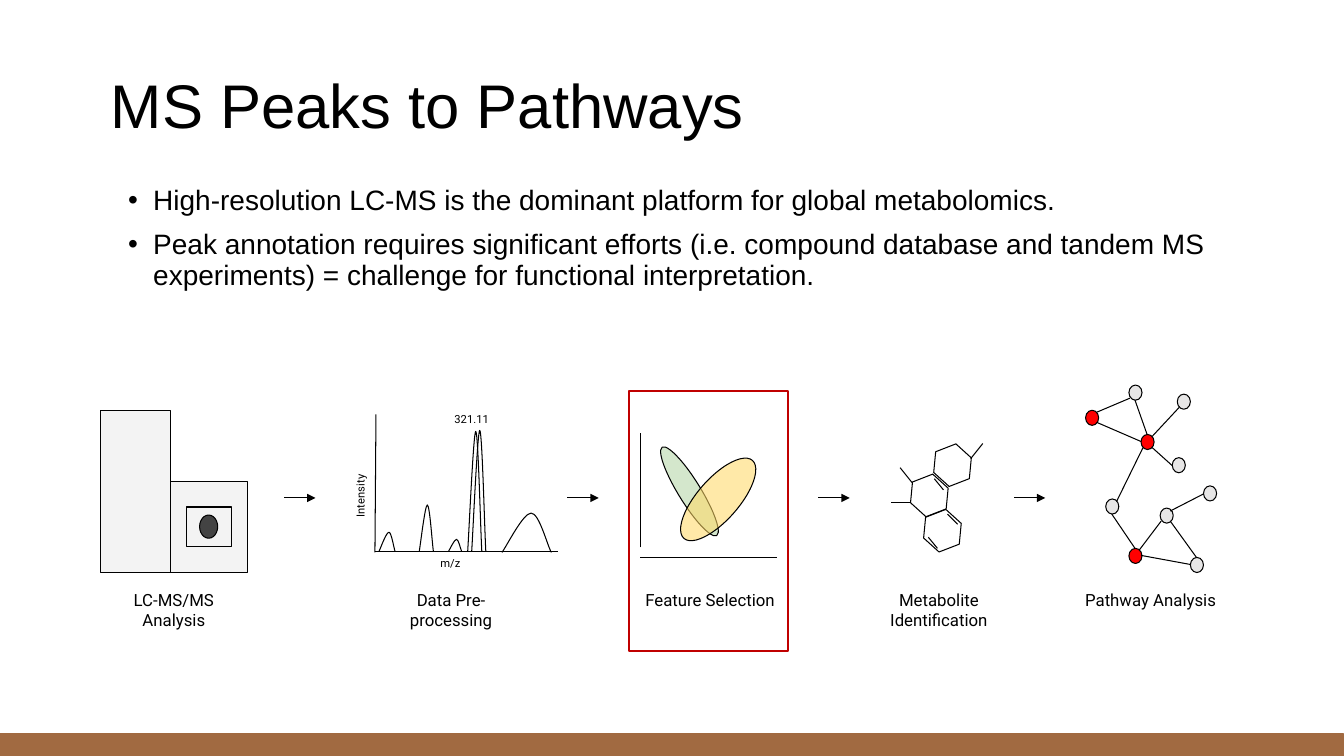
import lxml.etree
import pptx
import pptx.dml.color
import pptx.enum.shapes
import pptx.enum.text
import pptx.oxml.ns
import pptx.util

PX = 9144  # EMU in one px, 100 px to the inch
COLORS = {
    "black": "000000", "brown": "A16A41", "pale": "F3F3F3", "dark": "434343",
    "green": "B6D7A8", "gold": "FFD966", "red": "FF0000", "gray": "E7E6E6",
    "frame": "C00000",
}
RGB = {name: pptx.dml.color.RGBColor.from_string(code) for name, code in COLORS.items()}
KINDS = pptx.enum.shapes.MSO_SHAPE
ALIGN = pptx.enum.text.PP_ALIGN
qn = pptx.oxml.ns.qn

deck = pptx.Presentation()
deck.slide_width = pptx.util.Emu(12192000)
deck.slide_height = 750 * PX
slide = deck.slides.add_slide(deck.slide_layouts[1])
shapes = slide.shapes


def add_box(kind, x, y, w, h, fill=None, line="black", weight=0.75, turn=0, alpha=None):
    """Add a preset shape; alpha is the fill's opacity in percent."""
    box = shapes.add_shape(kind, x * PX, y * PX, w * PX, h * PX)
    box.shadow.inherit = False
    box.rotation = turn
    box.line.color.rgb = RGB[line]
    box.line.width = pptx.util.Pt(weight)
    if fill is None:
        box.fill.background()
    else:
        box.fill.solid()
        box.fill.fore_color.rgb = RGB[fill]
    if alpha:
        color = box._element.spPr.find(qn("a:solidFill"))[0]
        lxml.etree.SubElement(color, qn("a:alpha"), val=str(alpha * 1000))


def add_line(x1, y1, x2, y2, arrow=False):
    line = shapes.add_connector(
        pptx.enum.shapes.MSO_CONNECTOR.STRAIGHT, x1 * PX, y1 * PX, x2 * PX, y2 * PX)
    line.line.color.rgb = RGB["black"]
    line.line.width = pptx.util.Pt(0.75)
    props = line._element.spPr
    if arrow:
        lxml.etree.SubElement(props.find(qn("a:ln")), qn("a:tailEnd"), type="triangle")
    lxml.etree.SubElement(props, qn("a:effectLst"))


# Title, list and footer bar
add_box(KINDS.RECTANGLE, 0, 728, 1333, 25, "brown", "brown", 1)
title, body = shapes.title, slide.placeholders[1]
title.text_frame.text = "MS Peaks to Pathways"
body.text_frame.text = (
    "High-resolution LC-MS is the dominant platform for global metabolomics.\n"
    "Peak annotation requires significant efforts (i.e. compound database and tandem MS "
    "experiments) = challenge for functional interpretation.")
for holder, x, y, w, h, size in (
    (title, 100, 68, 1133, 79, 44),
    (body, 117, 180, 1133, 159, 20),
):
    holder.left, holder.top, holder.width, holder.height = x * PX, y * PX, w * PX, h * PX
    holder.text_frame.auto_size = pptx.enum.text.MSO_AUTO_SIZE.NONE
    for para in holder.text_frame.paragraphs:
        para.alignment = ALIGN.LEFT
        para.line_spacing = 0.9
        font = para.runs[0].font
        font.name, font.size = "Arial", pptx.util.Pt(size)
        font.color.rgb = RGB["black"]
title.text_frame.vertical_anchor = pptx.enum.text.MSO_ANCHOR.MIDDLE
for para in body.text_frame.paragraphs:
    para.space_before = pptx.util.Pt(10)
    props = para._p.get_or_add_pPr()
    props.set("marL", str(25 * PX))
    props.set("indent", str(-25 * PX))
    lxml.etree.SubElement(props, qn("a:buChar"), char="•")

# Arrows between the steps
for x in (282, 563, 812, 1006):
    add_line(x, 494, x + 31, 494, arrow=True)

# Instrument
add_box(KINDS.RECTANGLE, 169, 478, 77, 90, "pale")
add_box(KINDS.RECTANGLE, 100, 407, 69, 161, "pale")
add_box(KINDS.RECTANGLE, 185, 503, 45, 39, "pale")
add_box(KINDS.OVAL, 198, 511, 18, 23, "dark")

# Spectrum: each peak is a rising and a falling Bezier curve
add_line(372, 547, 554, 547)
add_line(373, 411, 372, 548)
for left, mid, right, top, foot in (
    (464, 472, 478, 428, 547), (468, 476, 482, 427, 547), (416, 424, 430, 501, 547),
    (376, 386, 392, 528, 547), (445, 453, 458, 535, 547), (498, 527, 547, 509, 548),
):
    low = foot - (foot - top) * 0.17
    points = [
        (left, foot), (left + (mid - left) * 0.17, low), (mid - (mid - left) * 0.28, top),
        (mid, top), (mid + (right - mid) * 0.4, top), (right - (right - mid) * 0.2, low),
        (right, foot),
    ]
    points = [(round(x * PX), round(y * PX)) for x, y in points]
    pen = shapes.build_freeform(*points[0])
    pen.add_line_segments(points[1:], close=False)
    peak = pen.convert_to_shape()
    legs = list(peak._element.iter(qn("a:lnTo")))
    for start in (0, 3):
        curve = lxml.etree.SubElement(legs[0].getparent(), qn("a:cubicBezTo"))
        for leg in legs[start:start + 3]:
            curve.append(leg[0])
    for leg in legs:
        leg.getparent().remove(leg)
    peak.shadow.inherit = False
    peak.fill.background()
    peak.line.color.rgb = RGB["black"]
    peak.line.width = pptx.util.Pt(0.75)

# Feature plot
add_line(635, 553, 771, 553)
add_line(635, 543, 635, 430)
add_box(KINDS.OVAL, 673, 436, 22, 103, "green", turn=328.3, alpha=58)
add_box(KINDS.OVAL, 692, 444, 41, 103, "gold", turn=41.3, alpha=57)

# Molecule
for x, y in ((902, 473), (915, 508), (925, 443)):
    add_box(KINDS.HEXAGON, x, y, 40, 37, turn=338.8)
for bond in (
    (936, 486, 927, 475), (963, 455, 975, 440), (905, 479, 893, 464),
    (903, 499, 884, 499), (950, 520, 940, 510), (930, 544, 921, 533),
):
    add_line(*bond)

# Pathway network
for x, y, fill in (
    (1077, 407, "red"), (1097, 495, "gray"), (1132, 431, "red"), (1163, 454, "gray"),
    (1151, 504, "gray"), (1181, 553, "gray"), (1120, 544, "red"), (1168, 391, "gray"),
    (1120, 382, "gray"), (1194, 482, "gray"),
):
    add_box(KINDS.OVAL, x, y, 13, 15, fill)
for edge in (
    (1088, 419, 1132, 438), (1143, 433, 1170, 404), (1134, 444, 1108, 497),
    (1130, 546, 1152, 517), (1161, 517, 1187, 553), (1132, 551, 1181, 560),
    (1163, 462, 1143, 444), (1103, 510, 1126, 544), (1088, 409, 1121, 395),
    (1126, 397, 1138, 431), (1194, 490, 1161, 507),
):
    add_line(*edge)

# Step names and chart labels
for text, x, y, w, h, size, align, turn in (
    ("LC-MS/MS\nAnalysis", 108, 575, 129, 79, 12, ALIGN.CENTER, 0),
    ("Data Pre-processing", 368, 575, 159, 79, 12, ALIGN.CENTER, 0),
    ("Feature Selection", 625, 575, 159, 79, 12, ALIGN.CENTER, 0),
    ("Metabolite Identification", 852, 575, 159, 79, 12, ALIGN.CENTER, 0),
    ("Pathway Analysis", 1062, 575, 159, 79, 12, ALIGN.CENTER, 0),
    ("m/z", 427, 545, 49, 32, 8, ALIGN.LEFT, 0),
    ("Intensity", 316, 463, 88, 32, 8, ALIGN.LEFT, 270),
    ("321.11", 441, 402, 68, 32, 8, ALIGN.LEFT, 0),
):
    label = shapes.add_textbox(x * PX, y * PX, w * PX, h * PX)
    label.rotation = turn
    frame = label.text_frame
    frame.word_wrap = True
    frame.margin_top = frame.margin_bottom = 10 * PX
    frame.text = text
    for para in frame.paragraphs:
        para.alignment = align
        font = para.runs[0].font
        font.name, font.size = "Roboto", pptx.util.Pt(size)
        font.color.rgb = RGB["black"]

# Frame around the chosen step
add_box(KINDS.RECTANGLE, 624, 388, 158, 258, line="frame", weight=1.5)

deck.save("out.pptx")
